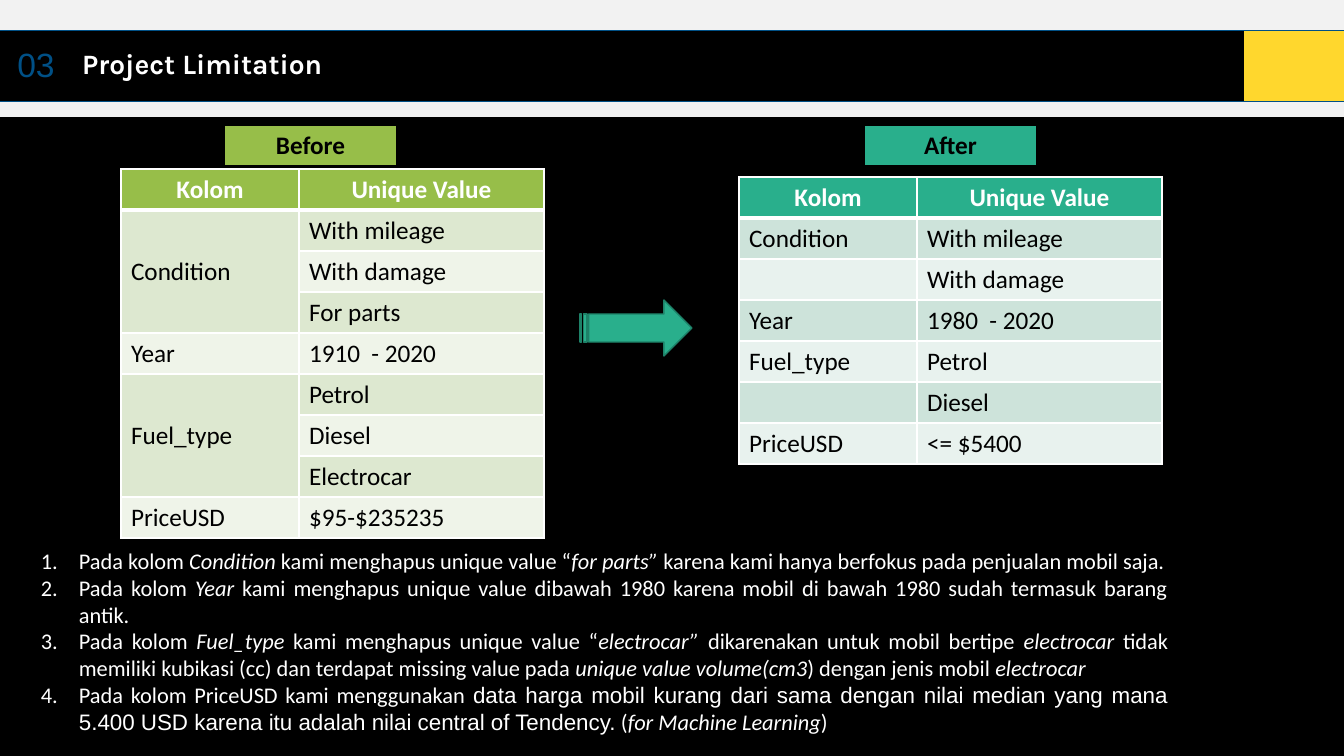
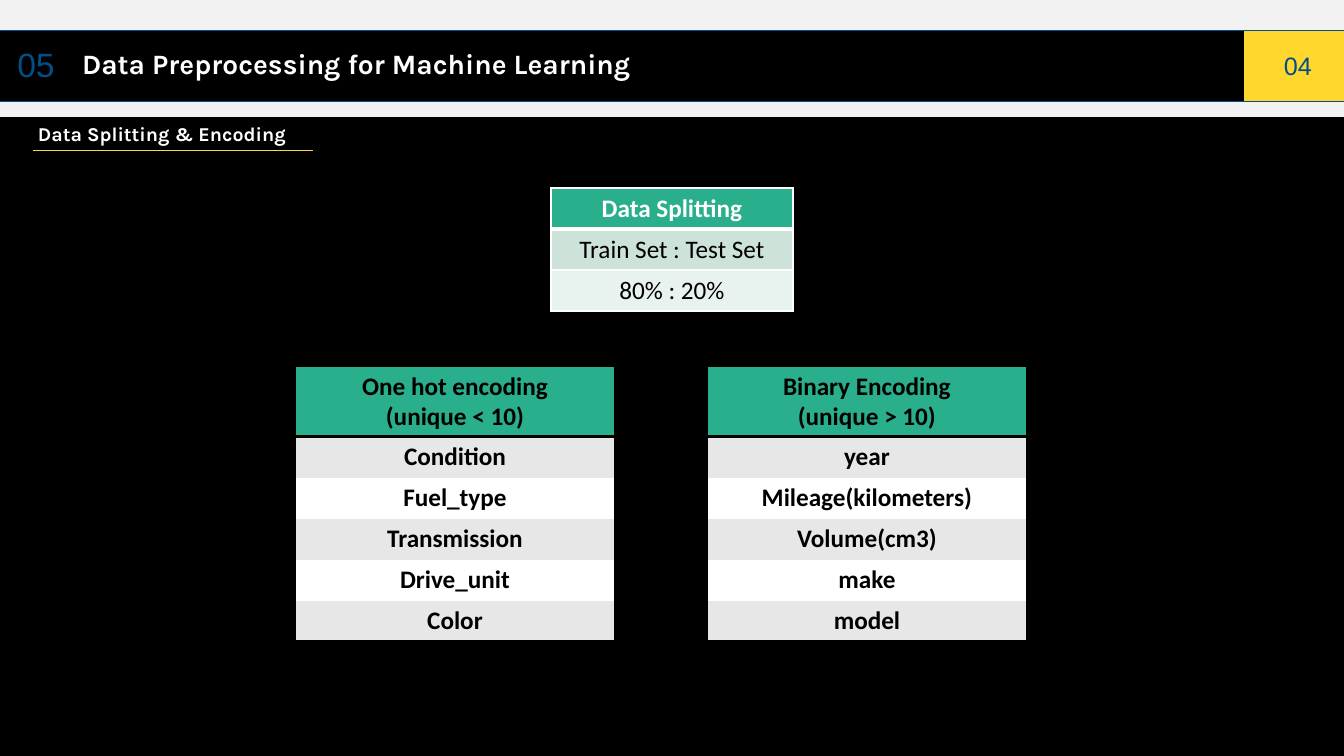
from lxml.etree import SubElement
from pptx import Presentation
from pptx.dml.color import RGBColor
from pptx.enum.shapes import MSO_CONNECTOR, MSO_SHAPE
from pptx.enum.text import MSO_ANCHOR, PP_ALIGN
from pptx.oxml.ns import qn
from pptx.util import Pt

EMU_PER_PX = 914400 / 100.8
WIDTH, HEIGHT = 1344, 756
ROW = 41
NO_TABLE_STYLE = "{2D5ABB26-0587-4C30-8999-92F81FD0307C}"

COLOURS = {
    "black": "000000", "white": "FFFFFF", "band": "F2F2F2",
    "navy": "005086", "yellow": "FFD72D", "underline": "FCD74A",
    "green": "97BE49", "green mid": "DDE8D0", "green pale": "EFF4E9",
    "teal": "29AF8C", "teal mid": "CDE3DA", "teal pale": "E8F2EE",
    "teal dark": "1E8168", "grey": "E7E7E7",
}

# Text formats
NUMBER = {"name": "Arial", "size": 24, "color": "navy"}
PAGE = {**NUMBER, "size": 18}
TITLE = {"name": "Karla", "size": 20, "color": "white", "bold": True}
SUBTITLE = {**TITLE, "size": 14}
CELL = {"name": "Calibri", "size": 18, "color": "black"}
BOLD_CELL = {**CELL, "bold": True}
HEADING = {**BOLD_CELL, "color": "white"}
NOTE = {"name": "Calibri", "size": 16, "color": "white"}
NOTE_STYLES = {
    "plain": NOTE,
    "italic": {**NOTE, "italic": True},
    "arial": {**NOTE, "name": "Arial"},
}

# Table looks: rules are (colour, points); bands alternate below the heading
GREEN_GRID = {
    "heading fill": "green", "bands": ("green mid", "green pale"),
    "heading": HEADING, "body": CELL, "body align": PP_ALIGN.LEFT,
    "outer": ("white", 1), "inner": ("white", 1), "side": ("white", 1),
    "under heading": ("white", 3),
}
TEAL_GRID = {**GREEN_GRID, "heading fill": "teal",
             "bands": ("teal mid", "teal pale")}
CENTRED_GRID = {**TEAL_GRID, "body align": PP_ALIGN.CENTER}
RULED = {
    "heading fill": "teal", "bands": ("grey", "white"),
    "heading": BOLD_CELL, "body": BOLD_CELL, "body align": PP_ALIGN.CENTER,
    "outer": ("black", 2), "inner": None, "side": None,
    "under heading": ("black", 2),
}
GREEN_LABEL = {**RULED, "heading fill": "green"}

# Content: None continues the cell above
BEFORE = [
    ("Kolom", "Unique Value"),
    ("Condition", "With mileage"),
    (None, "With damage"),
    (None, "For parts"),
    ("Year", "1910  - 2020"),
    ("Fuel_type", "Petrol"),
    (None, "Diesel"),
    (None, "Electrocar"),
    ("PriceUSD", "$95-$235235"),
]
AFTER = [
    ("Kolom", "Unique Value"),
    ("Condition", "With mileage"),
    ("", "With damage"),
    ("Year", "1980  - 2020"),
    ("Fuel_type", "Petrol"),
    ("", "Diesel"),
    ("PriceUSD", "<= $5400"),
]
NOTES = [
    [("plain", "Pada kolom "), ("italic", "Condition "),
     ("plain", "kami menghapus unique value “"), ("italic", "for parts” "),
     ("plain", "karena kami hanya berfokus pada penjualan mobil saja.")],
    [("plain", "Pada kolom "), ("italic", "Year "),
     ("plain", "kami menghapus unique value dibawah 1980 karena mobil "
               "di bawah 1980 sudah termasuk barang antik.")],
    [("plain", "Pada kolom "), ("italic", "Fuel_type "),
     ("plain", "kami menghapus unique value “"), ("italic", "electrocar” "),
     ("plain", "dikarenakan untuk mobil bertipe "), ("italic", "electrocar "),
     ("plain", "tidak memiliki kubikasi (cc) dan terdapat missing value pada "),
     ("italic", "unique value volume(cm3"),
     ("plain", ") dengan jenis mobil "), ("italic", "electrocar")],
    [("plain", "Pada kolom PriceUSD kami menggunakan "),
     ("arial", "data harga mobil kurang dari sama dengan nilai median yang "
               "mana 5.400 USD karena itu adalah nilai central of Tendency."),
     ("plain", " ("), ("italic", "for Machine Learning"), ("plain", ")")],
]
SPLITTING = ["Data Splitting", "Train Set : Test Set", "80% : 20%"]
ENCODINGS = [
    ["One hot encoding\n(unique < 10)", "Condition", "Fuel_type",
     "Transmission", "Drive_unit", "Color"],
    ["Binary Encoding\n(unique > 10)", "year", "Mileage(kilometers)",
     "Volume(cm3)", "make", "model"],
]


def px(*lengths):
    return [round(length * EMU_PER_PX) for length in lengths]


def colour(name):
    return RGBColor.from_string(COLOURS[name])


def paint(fill, name):
    fill.solid()
    fill.fore_color.rgb = colour(name)


def add_run(paragraph, text, text_format):
    run = paragraph.add_run()
    run.text = text
    for key, value in text_format.items():
        if key == "color":
            run.font.color.rgb = colour(value)
        else:
            setattr(run.font, key, Pt(value) if key == "size" else value)


def write(text_frame, text, text_format, align=PP_ALIGN.LEFT):
    """Put each line of the text in a paragraph of its own."""
    for index, line in enumerate(text.split("\n")):
        paragraph = text_frame.add_paragraph() if index else text_frame.paragraphs[0]
        paragraph.alignment = align
        if line:
            add_run(paragraph, line, text_format)


def add_text_box(slide, box):
    text_frame = slide.shapes.add_textbox(*px(*box)).text_frame
    text_frame.word_wrap = True
    return text_frame


def set_borders(cell, left, right, top, bottom):
    properties = cell._tc.get_or_add_tcPr()
    for side, rule in zip("LRTB", (left, right, top, bottom)):
        name, points = rule or (None, 0)
        line = SubElement(properties, qn(f"a:ln{side}"), w=str(Pt(points)))
        if name:
            solid = SubElement(line, qn("a:solidFill"))
            SubElement(solid, qn("a:srgbClr"), val=COLOURS[name])
        else:
            SubElement(line, qn("a:noFill"))


def add_bare_table(slide, left, top, widths, heights):
    """Add a table without any built-in style."""
    frame = slide.shapes.add_table(
        len(heights), len(widths), *px(left, top, sum(widths), sum(heights)))
    table = frame.table
    table.first_row = table.horz_banding = False
    table._tbl.tblPr.find(qn("a:tableStyleId")).text = NO_TABLE_STYLE
    for column, width in zip(table.columns, px(*widths)):
        column.width = width
    for row, height in zip(table.rows, px(*heights)):
        row.height = height
    return table


def add_data_table(slide, left, top, widths, rows, look, heading_height=ROW):
    last = len(rows) - 1
    table = add_bare_table(slide, left, top, widths, [heading_height] + [ROW] * last)
    rules = [look["outer"], look["under heading"]]
    rules += [look["inner"]] * (last - 1)
    rules = rules[:last + 1] + [look["outer"]]
    for y, row in enumerate(rows):
        for x, text in enumerate(row):
            cell = table.cell(y, x)
            set_borders(cell, look["side"], look["side"], rules[y], rules[y + 1])
            paint(cell.fill, look["bands"][(y - 1) % 2] if y else look["heading fill"])
            cell.vertical_anchor = MSO_ANCHOR.MIDDLE
            if text is not None:
                write(cell.text_frame, text, look["body" if y else "heading"],
                      look["body align"] if y else PP_ALIGN.CENTER)
                end = y
                while end < last and rows[end + 1][x] is None:
                    end += 1
                if end > y:
                    cell.merge(table.cell(end, x))


def add_base_slide(presentation, number, title):
    slide = presentation.slides.add_slide(presentation.slide_layouts[6])
    paint(slide.background.fill, "black")
    band = slide.shapes.add_shape(MSO_SHAPE.RECTANGLE, *px(0, 0, WIDTH, 117))
    band.shadow.inherit = False
    paint(band.fill, "band")
    band.line.fill.background()
    table = add_bare_table(slide, 0, 30, [72, 1172, 100], [71])
    rule = ("navy", 0.5)
    header = [(number, NUMBER, PP_ALIGN.CENTER, "black"),
              (title, TITLE, PP_ALIGN.LEFT, "black"),
              ("", PAGE, PP_ALIGN.LEFT, "yellow")]
    for x, (text, text_format, align, fill) in enumerate(header):
        cell = table.cell(0, x)
        set_borders(cell, None, None, rule, rule)
        paint(cell.fill, fill)
        cell.vertical_anchor = MSO_ANCHOR.MIDDLE
        write(cell.text_frame, text, text_format, align)
    return slide


def add_notes(slide):
    text_frame = add_text_box(slide, (31, 542, 1147, 201))
    indent = px(38)[0]
    for index, runs in enumerate(NOTES):
        paragraph = text_frame.add_paragraph() if index else text_frame.paragraphs[0]
        paragraph.alignment = PP_ALIGN.JUSTIFY
        properties = paragraph._p.get_or_add_pPr()
        properties.set("marL", str(indent))
        properties.set("indent", str(-indent))
        SubElement(properties, qn("a:buFont"), typeface="+mj-lt")
        SubElement(properties, qn("a:buAutoNum"), type="arabicPeriod")
        for style, text in runs:
            add_run(paragraph, text, NOTE_STYLES[style])


def build_limitation(presentation):
    slide = add_base_slide(presentation, "03", "Project Limitation")
    add_data_table(slide, 225, 125, [171], [("Before",)], GREEN_LABEL)
    add_notes(slide)
    add_data_table(slide, 121, 169, [178, 245], BEFORE, GREEN_GRID)
    add_data_table(slide, 865, 125, [171], [("After",)], RULED)
    add_data_table(slide, 739, 177, [178, 245], AFTER, TEAL_GRID)
    arrow = slide.shapes.add_shape(
        MSO_SHAPE.STRIPED_RIGHT_ARROW, *px(580, 300, 112, 56))
    arrow.shadow.inherit = False
    paint(arrow.fill, "teal")
    arrow.line.color.rgb = colour("teal dark")
    arrow.line.width = Pt(1)


def build_preprocessing(presentation):
    slide = add_base_slide(
        presentation, "05", "Data Preprocessing for Machine Learning")
    underline = slide.shapes.add_connector(
        MSO_CONNECTOR.STRAIGHT, *px(33, 150, 313, 150))
    underline.line.color.rgb = colour("underline")
    underline.line.width = Pt(0.5)
    SubElement(underline._element.spPr, qn("a:effectLst"))
    write(add_text_box(slide, (28, 117, 288, 34)), "Data Splitting & Encoding", SUBTITLE)
    write(add_text_box(slide, (1274, 45, 70, 71)), "04", PAGE)
    for index, names in enumerate(ENCODINGS):
        add_data_table(slide, 296 + 412 * index, 366, [318],
                       [(name,) for name in names], RULED, heading_height=70)
    add_data_table(slide, 551, 188, [242], [(text,) for text in SPLITTING], CENTRED_GRID)


def main():
    presentation = Presentation()
    presentation.slide_width, presentation.slide_height = px(WIDTH, HEIGHT)
    build_limitation(presentation)
    build_preprocessing(presentation)
    presentation.save("out.pptx")


if __name__ == "__main__":
    main()
